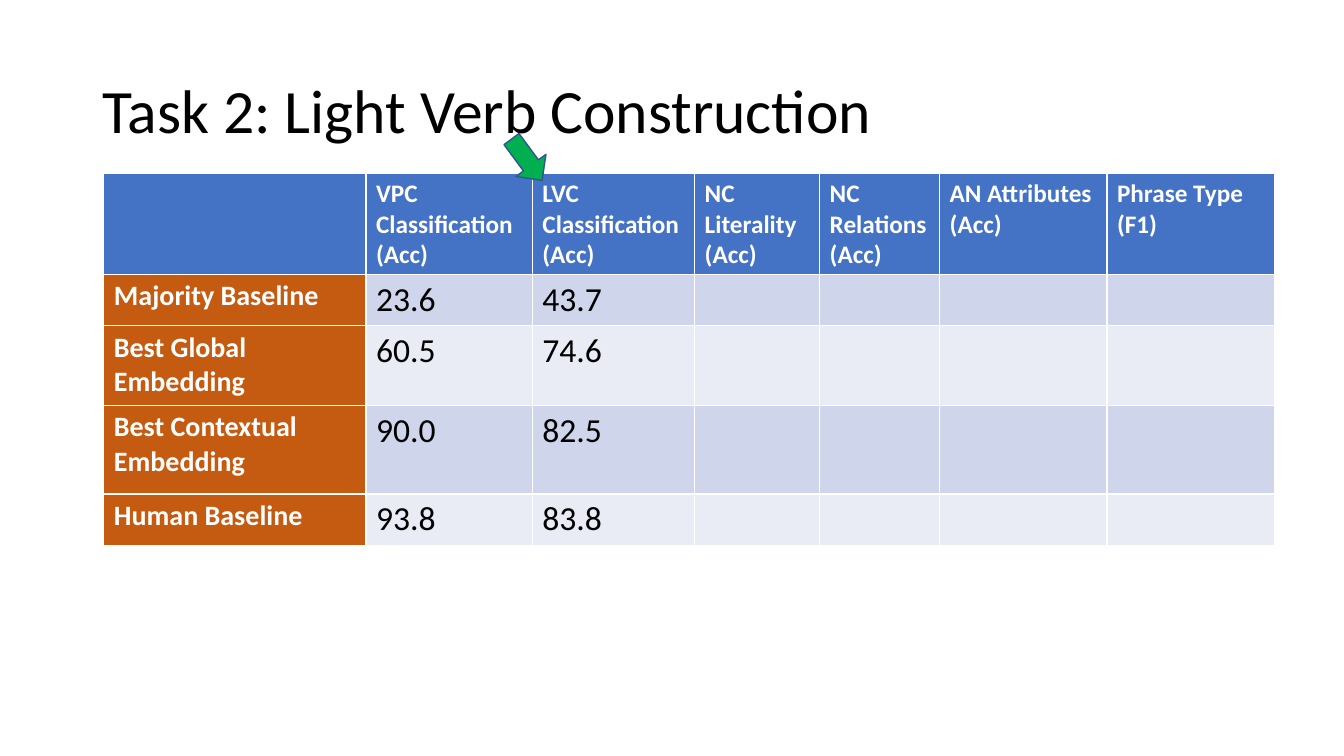
from dataclasses import dataclass

from pptx import Presentation
from pptx.dml.color import RGBColor
from pptx.enum.shapes import MSO_SHAPE
from pptx.enum.text import MSO_ANCHOR
from pptx.slide import Slide
from pptx.table import _Cell
from pptx.text.text import _Paragraph
from pptx.util import Inches, Pt

BLACK = RGBColor(0x00, 0x00, 0x00)
WHITE = RGBColor(0xFF, 0xFF, 0xFF)
BLUE = RGBColor(0x44, 0x72, 0xC4)
ORANGE = RGBColor(0xC5, 0x5A, 0x11)
DARK_BAND = RGBColor(0xCF, 0xD5, 0xEA)
LIGHT_BAND = RGBColor(0xE9, 0xEB, 0xF5)
GREEN = RGBColor(0x00, 0xB0, 0x50)
ARROW_EDGE = RGBColor(0x32, 0x54, 0x91)


@dataclass(frozen=True)
class TextStyle:
    size: int
    color: RGBColor
    bold: bool = False


@dataclass(frozen=True)
class Task:
    heading: str
    width: float


@dataclass(frozen=True)
class Model:
    name: str
    height: float
    scores: tuple[str, ...]


TITLE = TextStyle(44, BLACK)
HEADING = TextStyle(18, WHITE, True)
MODEL_NAME = TextStyle(20, WHITE, True)
SCORE = TextStyle(24, BLACK)

MODEL_COLUMN_WIDTH = 2.6
HEADING_HEIGHT = 1.0
TASKS = (
    Task("VPC Classification (Acc)", 1.65),
    Task("LVC Classification (Acc)", 1.61),
    Task("NC Literality (Acc)", 1.24),
    Task("NC Relations (Acc)", 1.19),
    Task("AN Attributes (Acc)", 1.66),
    Task("Phrase Type (F1)", 1.66),
)
MODELS = (
    Model("Majority Baseline", 0.51, ("23.6", "43.7")),
    Model("Best Global Embedding", 0.79, ("60.5", "74.6")),
    Model("Best Contextual Embedding", 0.88, ("90.0", "82.5")),
    Model("Human Baseline", 0.51, ("93.8", "83.8")),
)


def write(paragraph: _Paragraph, text: str, style: TextStyle) -> None:
    paragraph.text = text
    paragraph.font.name = "Calibri"
    paragraph.font.size = Pt(style.size)
    paragraph.font.bold = style.bold
    paragraph.font.color.rgb = style.color


def fill_cell(cell: _Cell, text: str, style: TextStyle, color: RGBColor) -> None:
    cell.fill.solid()
    cell.fill.fore_color.rgb = color
    if text:
        write(cell.text_frame.paragraphs[0], text, style)


def add_title(slide: Slide, text: str) -> None:
    title = slide.shapes.add_textbox(Inches(0.92), Inches(0.4), Inches(11.5), Inches(1.45))
    frame = title.text_frame
    frame.word_wrap = True
    frame.vertical_anchor = MSO_ANCHOR.MIDDLE
    frame.paragraphs[0].line_spacing = 0.9
    write(frame.paragraphs[0], text, TITLE)


def add_results(slide: Slide) -> None:
    widths = [MODEL_COLUMN_WIDTH, *(task.width for task in TASKS)]
    heights = [HEADING_HEIGHT, *(model.height for model in MODELS)]
    results = slide.shapes.add_table(
        len(heights), len(widths), Inches(1.03), Inches(1.72),
        Inches(sum(widths)), Inches(sum(heights)),
    ).table
    for column, width in zip(results.columns, widths):
        column.width = Inches(width)
    for row, height in zip(results.rows, heights):
        row.height = Inches(height)

    for column, heading in enumerate(["", *(task.heading for task in TASKS)]):
        fill_cell(results.cell(0, column), heading, HEADING, BLUE)
    for row, model in enumerate(MODELS, start=1):
        fill_cell(results.cell(row, 0), model.name, MODEL_NAME, ORANGE)
        band = DARK_BAND if row % 2 else LIGHT_BAND
        for column in range(1, len(widths)):
            score = model.scores[column - 1] if column <= len(model.scores) else ""
            fill_cell(results.cell(row, column), score, SCORE, band)


def add_task_arrow(slide: Slide) -> None:
    arrow = slide.shapes.add_shape(
        MSO_SHAPE.LEFT_ARROW, Inches(4.97), Inches(1.4), Inches(0.51), Inches(0.37)
    )
    arrow.rotation = 233.5
    arrow.shadow.inherit = False
    arrow.fill.solid()
    arrow.fill.fore_color.rgb = GREEN
    arrow.line.color.rgb = ARROW_EDGE
    arrow.line.width = Pt(1)


def main() -> None:
    presentation = Presentation()
    presentation.slide_width = Inches(13.33)
    presentation.slide_height = Inches(7.5)
    slide = presentation.slides.add_slide(presentation.slide_layouts[6])
    add_title(slide, "Task 2: Light Verb Construction")
    add_results(slide)
    add_task_arrow(slide)
    presentation.save("out.pptx")


if __name__ == "__main__":
    main()
